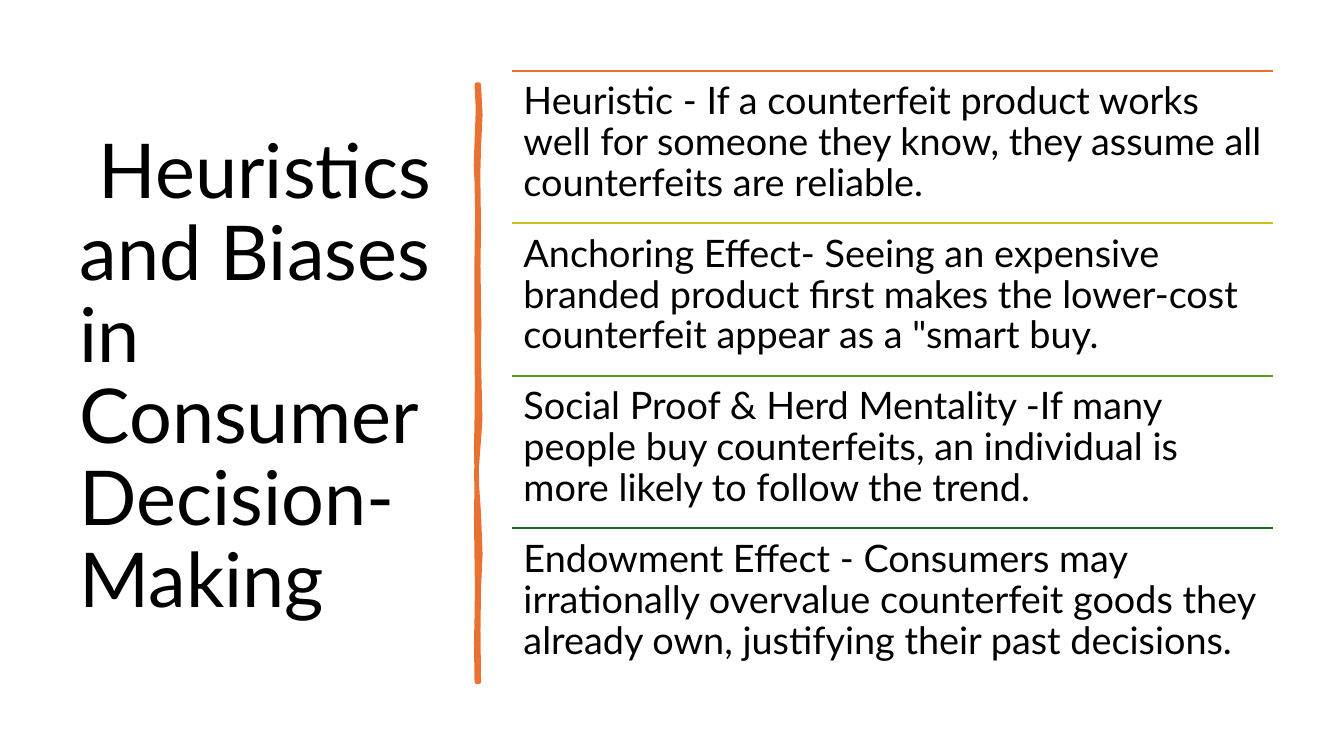
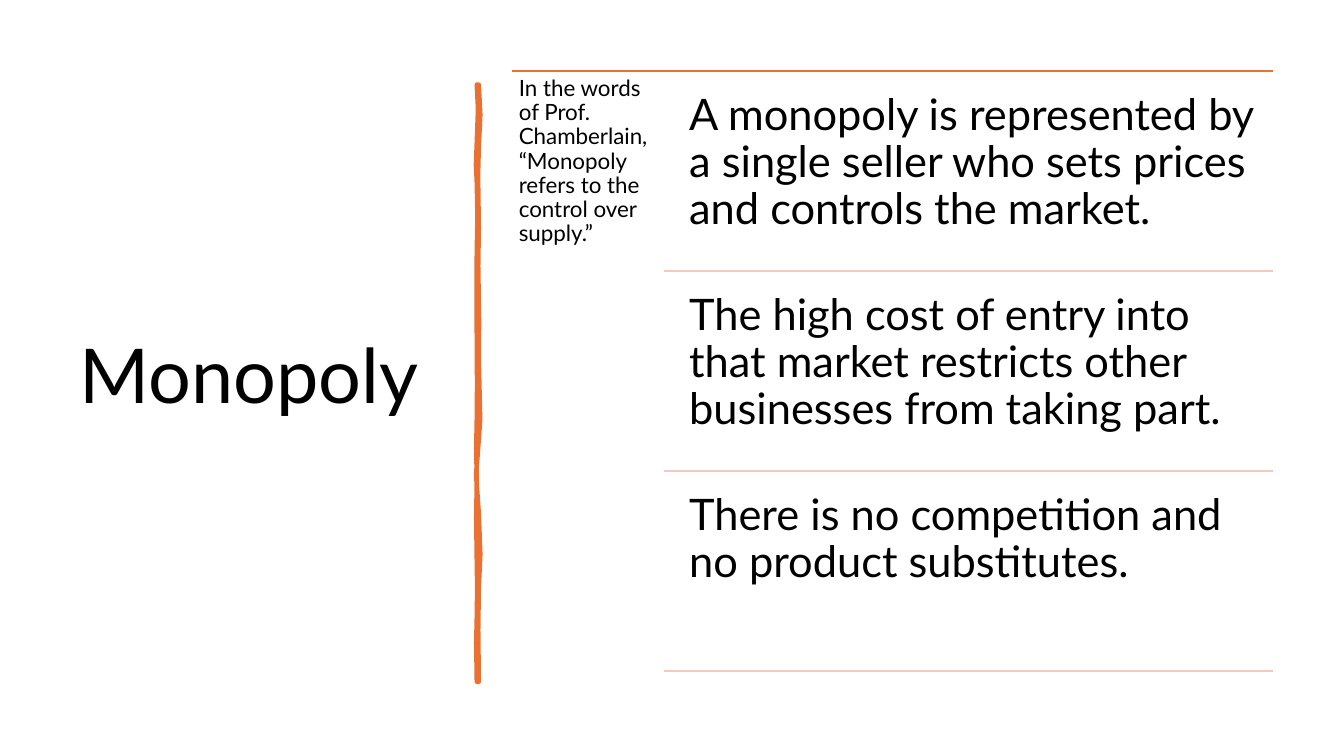
import pptx
import pptx.dml.color
import pptx.enum.shapes
import pptx.enum.text
import pptx.oxml
import pptx.oxml.ns
import pptx.util
from dataclasses import dataclass

Pt = pptx.util.Pt


@dataclass(frozen=True)
class Theme:
    font: str = "Lato"
    text: str = "000000"
    accent: str = "E97132"
    pale: str = "F4C9BF"
    rows: tuple = ("E97132", "CBC11E", "56991D", "196B24")
    title_size: float = 54
    row_size: float = 27
    point_size: float = 31
    quote_size: float = 16
    rule_width: float = 1.5
    brush_width: float = 3.25


theme = Theme()

# Content area to the right of the brush stroke
LEFT, RIGHT, TOP = 365.8, 909.4, 50.4

# Outline of the brush stroke: down the right edge, up the left edge
BRUSH_OUTLINE = [
    (342, 60.5), (343.1, 82), (342, 105), (341.5, 125), (342, 163),
    (341.6, 190), (342.2, 230), (342, 256), (343, 300), (342, 314),
    (340.1, 339), (342, 367), (343.1, 396), (342, 420), (341.6, 450),
    (342, 487), (340.6, 487), (340.2, 459), (340.6, 441), (340.9, 420),
    (340.6, 401), (340.2, 370), (340.6, 343), (340.2, 320), (340.6, 299),
    (340.8, 275), (340.6, 241), (340.4, 210), (340.6, 180), (341.1, 155),
    (340.6, 130), (340, 118), (341.5, 78), (340.6, 60.5),
]

HEURISTICS = [
    "Heuristic - If a counterfeit product works well for someone they know, "
    "they assume all counterfeits are reliable.",
    "Anchoring Effect- Seeing an expensive branded product first makes the "
    "lower-cost counterfeit appear as a \"smart buy.",
    "Social Proof & Herd Mentality -If many people buy counterfeits, an "
    "individual is more likely to follow the trend.",
    "Endowment Effect - Consumers may irrationally overvalue counterfeit goods "
    "they already own, justifying their past decisions.",
]
MONOPOLY_QUOTE = ("In the words of Prof. Chamberlain, “Monopoly refers to the "
                  "control over supply.”")
MONOPOLY_POINTS = [
    "A monopoly is represented by a single seller who sets prices and controls "
    "the market.",
    "The high cost of entry into that market restricts other businesses from "
    "taking part.",
    "There is no competition and no product substitutes.",
]


def add_text(slide, text, left, top, width, height, size, inset):
    shape = slide.shapes.add_textbox(Pt(left), Pt(top), Pt(width), Pt(height))
    frame = shape.text_frame
    frame.word_wrap = True
    frame.margin_left = frame.margin_right = Pt(inset)
    frame.margin_top = frame.margin_bottom = Pt(inset)
    paragraph = frame.paragraphs[0]
    paragraph.line_spacing = 0.9
    run = paragraph.add_run()
    run.text = text
    run.font.name = theme.font
    run.font.size = Pt(size)
    run.font.color.rgb = pptx.dml.color.RGBColor.from_string(theme.text)
    return frame


def add_rule(slide, left, top, color):
    rule = slide.shapes.add_connector(
        pptx.enum.shapes.MSO_CONNECTOR.STRAIGHT,
        Pt(left), Pt(top), Pt(RIGHT), Pt(top))
    rule.line.width = Pt(theme.rule_width)
    rule.line.color.rgb = pptx.dml.color.RGBColor.from_string(color)
    properties = rule._element.spPr
    properties.append(pptx.oxml.parse_xml(
        "<a:effectLst %s/>" % pptx.oxml.ns.nsdecls("a")))


presentation = pptx.Presentation()
presentation.slide_width = Pt(960)
presentation.slide_height = Pt(540)

# Shared frame: title and brush stroke on every slide
slides = []
for title in (" Heuristics and Biases in Consumer Decision-Making", "Monopoly"):
    slide = presentation.slides.add_slide(presentation.slide_layouts[6])
    slides.append(slide)
    frame = add_text(slide, title, 49.7, TOP, 269.3, 440, theme.title_size, 7.2)
    frame.margin_top = frame.margin_bottom = Pt(3.6)
    frame.vertical_anchor = pptx.enum.text.MSO_ANCHOR.MIDDLE

    start_x, start_y = BRUSH_OUTLINE[0]
    builder = slide.shapes.build_freeform(Pt(start_x), Pt(start_y))
    builder.add_line_segments([(Pt(x), Pt(y)) for x, y in BRUSH_OUTLINE[1:]])
    brush = builder.convert_to_shape()
    brush.shadow.inherit = False
    accent = pptx.dml.color.RGBColor.from_string(theme.accent)
    brush.fill.solid()
    brush.fill.fore_color.rgb = accent
    brush.line.color.rgb = accent
    brush.line.width = Pt(theme.brush_width)
    brush.line._get_or_add_ln().append(pptx.oxml.parse_xml(
        "<a:round %s/>" % pptx.oxml.ns.nsdecls("a")))
heuristics_slide, monopoly_slide = slides

# Heuristics: four rows, each under its own rule
row_height = 109
for index, (text, color) in enumerate(zip(HEURISTICS, theme.rows)):
    top = TOP + index * row_height
    add_rule(heuristics_slide, LEFT, top, color)
    add_text(heuristics_slide, text, LEFT, top, RIGHT - LEFT, row_height,
             theme.row_size, 8.1)

# Monopoly: quote on the left, three points with a rule below each
quote_width = 108.7
add_rule(monopoly_slide, LEFT, TOP, theme.accent)
add_text(monopoly_slide, MONOPOLY_QUOTE, LEFT, TOP, quote_width, 436,
         theme.quote_size, 4.8)
point_left, point_height, point_gap = 483, 136.2, 6.8
for index, text in enumerate(MONOPOLY_POINTS):
    top = TOP + point_gap + index * (point_height + point_gap)
    add_text(monopoly_slide, text, point_left, top, RIGHT - point_left,
             point_height, theme.point_size, 9.3)
    add_rule(monopoly_slide, LEFT + quote_width, top + point_height, theme.pale)

presentation.save("out.pptx")
